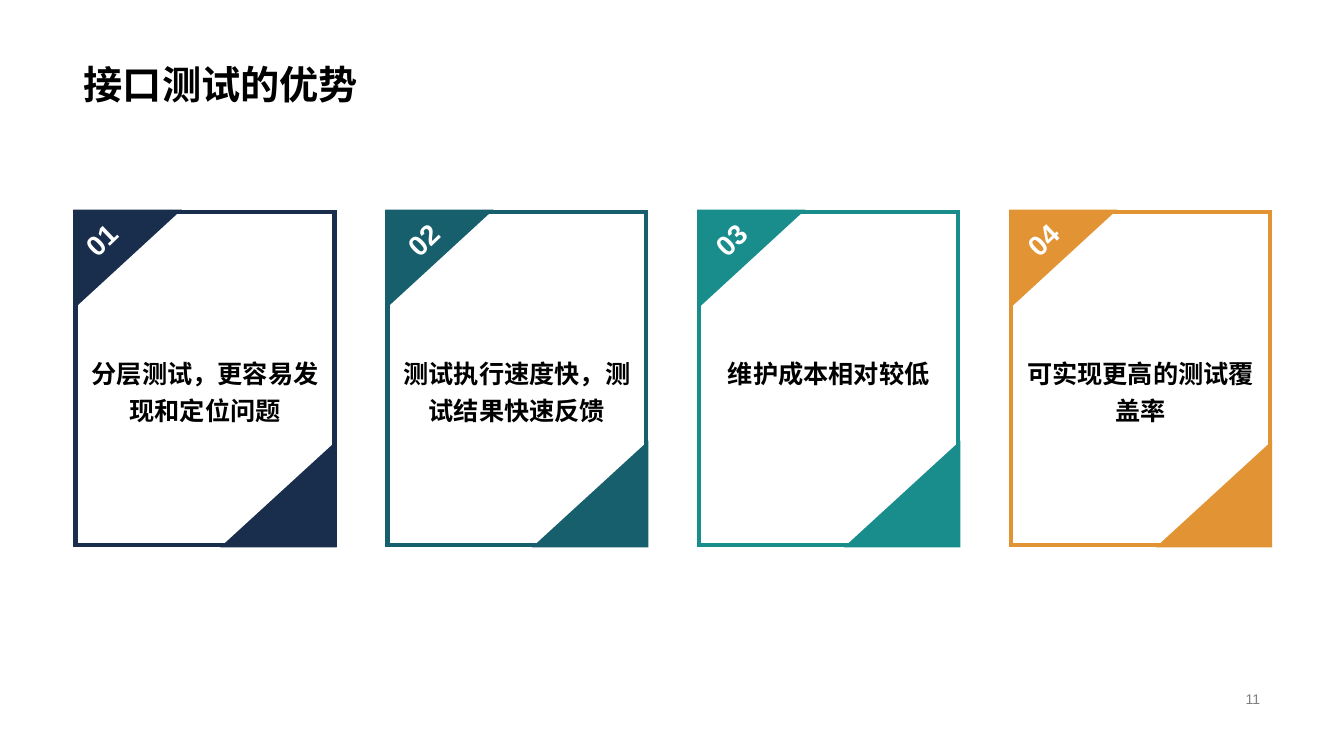
from pptx import Presentation
from pptx.dml.color import RGBColor
from pptx.enum.shapes import MSO_SHAPE
from pptx.enum.text import MSO_ANCHOR as ANCHOR, PP_ALIGN as ALIGN
from pptx.oxml.ns import qn
from pptx.util import Pt
from lxml import etree

COLORS = {"navy": "192D4C", "petrol": "185F6E", "teal": "198C8C",
          "orange": "E29435", "black": "000000", "white": "FFFFFF",
          "gray": "808080"}
CJK_FONT = "Noto Sans CJK SC"

# Text formats
TITLE = {"size": Pt(28), "bold": True, "name": "Arial"}
PAGE = {"size": Pt(10), "bold": False, "name": "Arial"}
NUMBER = {"size": Pt(20), "bold": True, "name": "Arial"}
BODY = {"size": Pt(18), "bold": True, "name": CJK_FONT}

# Cards: colour, text, left offset of the number
CARDS = [("navy", "分层测试，更容易发现和定位问题", 0),
         ("petrol", "测试执行速度快，测试结果快速反馈", 7.2),
         ("teal", "维护成本相对较低", 4.3),
         ("orange", "可实现更高的测试覆盖率", 4.3)]
CARD_W, CARD_H, CARD_PITCH = 185, 238.3, 222.75


def rgb(name):
    return RGBColor.from_string(COLORS[name])


def write(sp, text, fmt, color, align, anchor=ANCHOR.TOP, spacing=1.0, wrap=True):
    tf = sp.text_frame
    tf.word_wrap, tf.vertical_anchor = wrap, anchor
    p = tf.paragraphs[0]
    p.alignment, p.line_spacing = align, spacing
    r = p.add_run()
    r.text = text
    for key, value in fmt.items():
        setattr(r.font, key, value)
    r.font.color.rgb = rgb(color)
    ea = etree.SubElement(r.font._element, qn("a:ea"))
    ea.set("typeface", CJK_FONT)


def add_outlined(shapes, kind, box, color, filled=True, rotation=0):
    sp = shapes.add_shape(kind, *map(Pt, box))
    sp.shadow.inherit = False
    sp.rotation = rotation
    if filled:
        sp.fill.solid()
        sp.fill.fore_color.rgb = rgb(color)
    else:
        sp.fill.background()
    sp.line.color.rgb = rgb(color)
    sp.line.width = Pt(3)
    # Sharp corners
    miter = etree.SubElement(sp.line._get_or_add_ln(), qn("a:miter"))
    miter.set("lim", "800000")


def add_title(s, box, text):
    sp = s.shapes.title
    sp.left, sp.top, sp.width, sp.height = map(Pt, box)
    write(sp, text, TITLE, "black", ALIGN.LEFT, ANCHOR.BOTTOM, 0.9)


def add_page_number(s, box, text):
    sp = s.shapes.add_textbox(*map(Pt, box))
    write(sp, text, PAGE, "gray", ALIGN.RIGHT, ANCHOR.MIDDLE)


def add_card(s, box, number, color, text, number_x):
    x, y, w, h = box
    shapes = s.shapes.add_group_shape().shapes
    # Frame and corner triangles
    add_outlined(shapes, MSO_SHAPE.RECTANGLE, box, color, filled=False)
    add_outlined(shapes, MSO_SHAPE.RIGHT_TRIANGLE,
                 (x + 2.9, y - 2.9, 66.2, 72), color, rotation=90)
    add_outlined(shapes, MSO_SHAPE.RIGHT_TRIANGLE,
                 (x + w - 74.6, y + h - 74.6, 71.3, 77.8), color, rotation=270)
    # Slanted number
    sp = shapes.add_textbox(Pt(x + number_x), Pt(y + 4.3), Pt(36.7), Pt(31.7))
    sp.rotation = 316.2
    write(sp, number, NUMBER, "white", ALIGN.CENTER, wrap=False)
    # Advantage
    sp = shapes.add_textbox(Pt(x), Pt(y + 97.2), Pt(w), Pt(66.2))
    write(sp, text, BODY, "black", ALIGN.CENTER, spacing=1.2)


def add_cards(s, left, top):
    for i, (color, text, number_x) in enumerate(CARDS):
        box = (left + i * CARD_PITCH, top, CARD_W, CARD_H)
        add_card(s, box, f"{i + 1:02}", color, text, number_x)


def main():
    prs = Presentation()
    prs.slide_width, prs.slide_height = Pt(960), Pt(540)
    s = prs.slides.add_slide(prs.slide_layouts[5])
    add_title(s, (52.7, 0, 854.6, 80.8), "接口测试的优势")
    add_page_number(s, (678.2, 491, 229, 16.6), "11")
    add_cards(s, 54, 151.2)
    prs.save("out.pptx")


if __name__ == "__main__":
    main()
